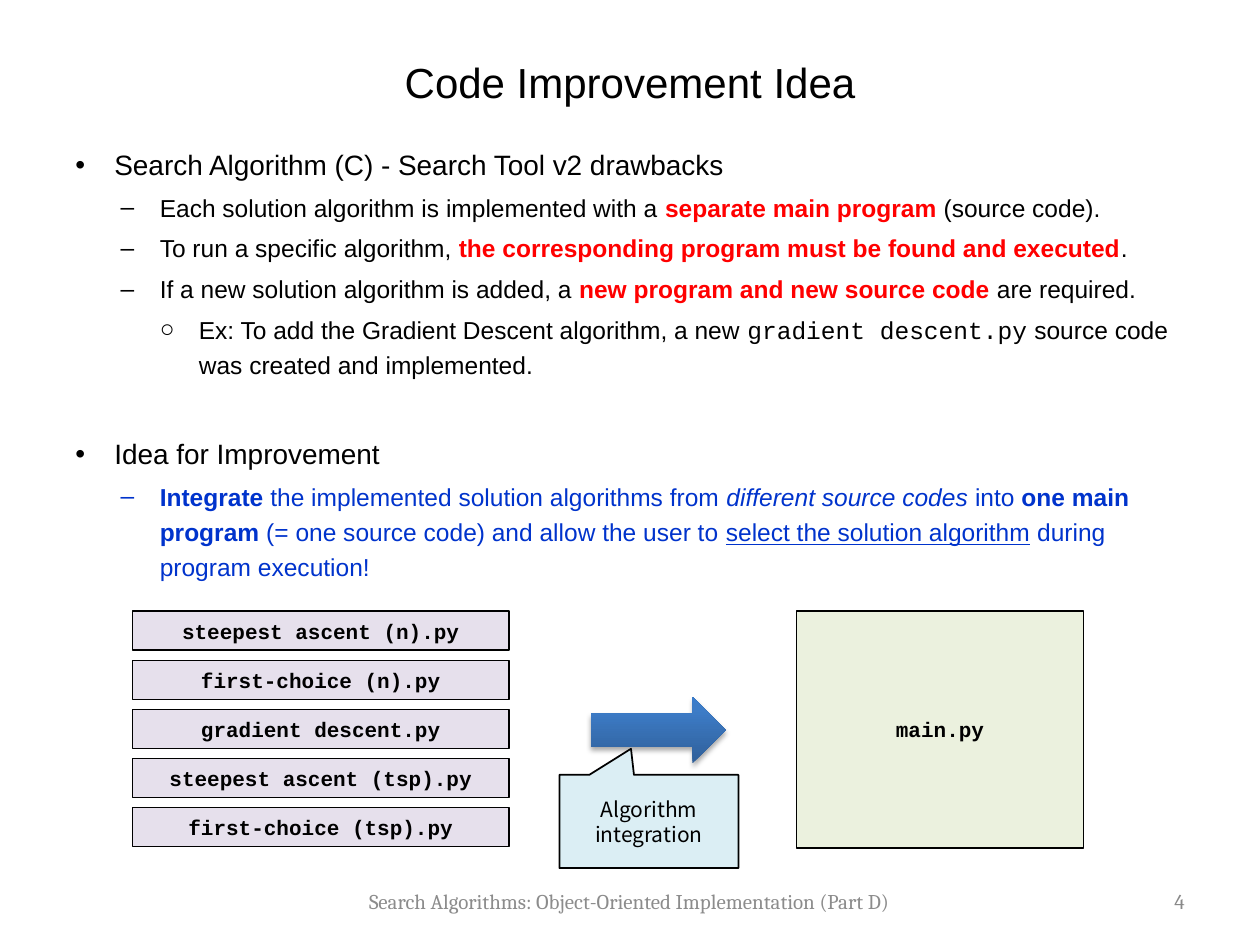
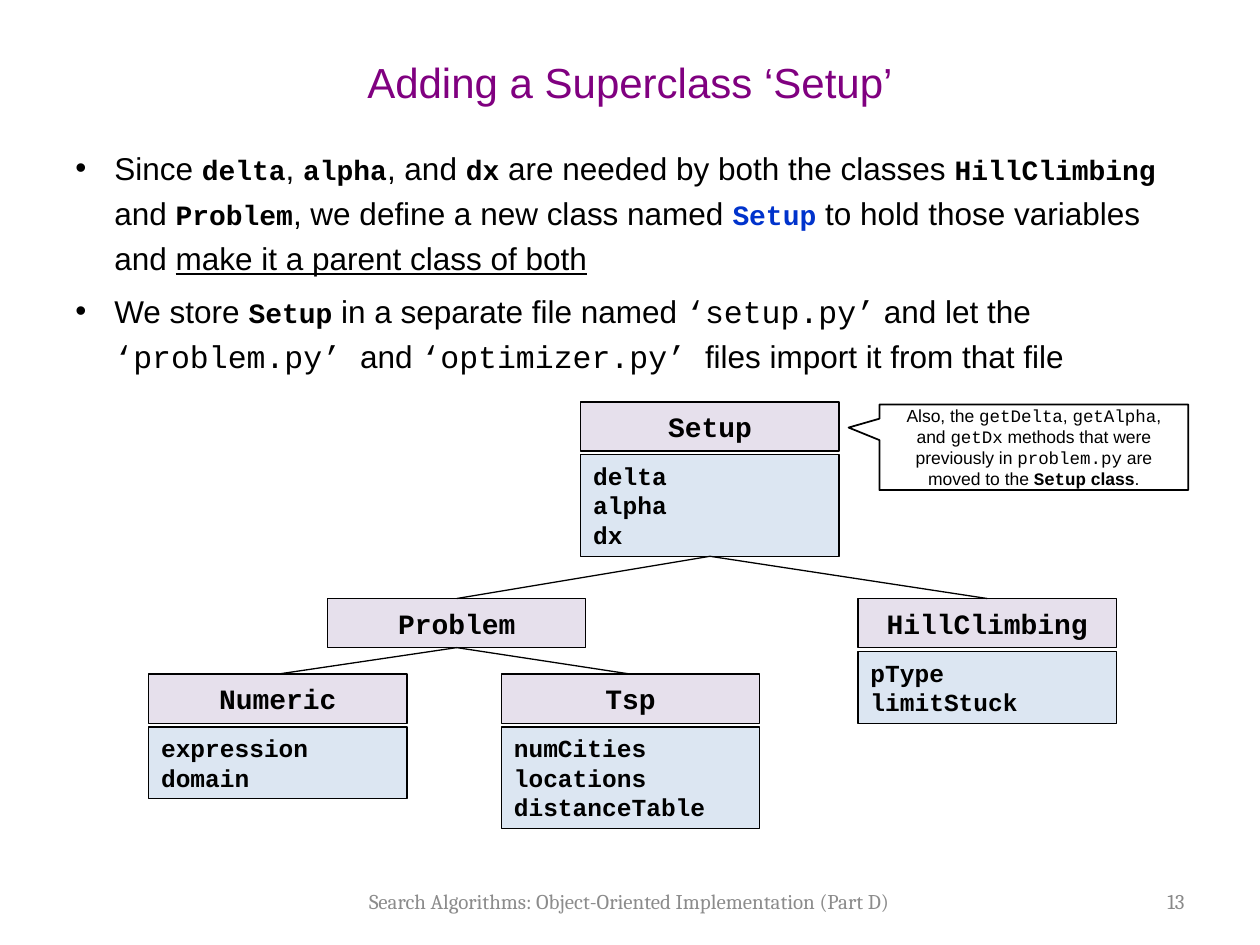
from dataclasses import dataclass

from lxml import etree
from pptx import Presentation
from pptx.dml.color import RGBColor
from pptx.enum.shapes import MSO_CONNECTOR, MSO_SHAPE
from pptx.enum.text import MSO_ANCHOR, PP_ALIGN
from pptx.oxml.ns import qn
from pptx.util import Inches, Pt

RECTANGLE = MSO_SHAPE.RECTANGLE
RIGHT_ARROW = MSO_SHAPE.RIGHT_ARROW
CALLOUT = MSO_SHAPE.RECTANGULAR_CALLOUT
STRAIGHT = MSO_CONNECTOR.STRAIGHT
LEFT, CENTER, RIGHT = PP_ALIGN.LEFT, PP_ALIGN.CENTER, PP_ALIGN.RIGHT
TOP, MIDDLE = MSO_ANCHOR.TOP, MSO_ANCHOR.MIDDLE
TOP_SITE, BOTTOM_SITE = 0, 2


@dataclass(frozen=True)
class Theme:
    black: str = "000000"
    white: str = "FFFFFF"
    red: str = "FF0000"
    blue: str = "0033CC"
    purple: str = "800080"
    footer_gray: str = "8C8C8C"
    number_gray: str = "898989"
    lavender: str = "E6E0EC"
    pale_blue: str = "DCE6F2"
    pale_green: str = "EBF1DE"
    pale_cyan: str = "DBEEF4"
    arrow_stops: tuple = ((0, "2F5F99"), (80, "3D7CC7"), (100, "3A7CCB"))
    sans: str = "Arial"
    code: str = "Courier New"
    serif: str = "Cambria"
    callout: str = "Noto Sans CJK KR"
    title_size: int = 24
    large_size: int = 18
    heading_size: int = 16
    detail_size: int = 14
    small_size: int = 12
    note_size: int = 10
    thin: float = 0.75
    outline: float = 1


THEME = Theme()
FOOTER = "Search Algorithms: Object-Oriented Implementation (Part D)"
BULLETS = (("•", 0.31), ("–", 0.67), ("○", 0.98))
HANGING = 0.31

BOLD = {"bold": True}
ITALIC = {"italic": True}
UNDERLINE = {"underline": True}
CODE = {"name": THEME.code}
RED = {"bold": True, "color": THEME.red}
KEYWORD = {"name": THEME.code, "size": THEME.heading_size, "bold": True}
BLUE_KEYWORD = {**KEYWORD, "color": THEME.blue}


def text_style(size, name=THEME.sans, color=THEME.black, **extra):
    return {"size": size, "name": name, "color": color, **extra}


def add_element(parent, tag, **attributes):
    values = {key: str(value) for key, value in attributes.items()}
    return etree.SubElement(parent, qn(tag), values)


def format_run(run, style):
    for attribute, value in style.items():
        if attribute == "color":
            run.font.color.rgb = RGBColor.from_string(value)
        else:
            setattr(run.font, attribute, Pt(value) if attribute == "size" else value)


def write_paragraph(paragraph, runs, style, alignment=LEFT):
    paragraph.alignment = alignment
    for item in runs:
        text, changes = (item, {}) if isinstance(item, str) else item
        run = paragraph.add_run()
        run.text = text
        format_run(run, {**style, **changes})


def next_paragraph(frame, index):
    return frame.add_paragraph() if index else frame.paragraphs[0]


def write_lines(frame, lines, style, alignment, anchor):
    frame.word_wrap = True
    frame.vertical_anchor = anchor
    for index, runs in enumerate(lines):
        write_paragraph(next_paragraph(frame, index), runs, style, alignment)


def add_text(slide, box, text, style, alignment):
    frame = slide.shapes.add_textbox(*map(Inches, box)).text_frame
    write_lines(frame, [[text]], style, alignment, MIDDLE)


def add_bullets(slide, items):
    frame = slide.shapes.add_textbox(*map(Inches, (0.5, 1.07, 9, 5.75))).text_frame
    frame.word_wrap = True
    for index, (level, style, extra_space, runs) in enumerate(items):
        paragraph = next_paragraph(frame, index)
        write_paragraph(paragraph, runs, style)
        paragraph.level = level
        paragraph.line_spacing = 1.2
        paragraph.space_before = Pt(round(style["size"] * 0.22 + extra_space, 1))
        character, indent = BULLETS[level]
        properties = paragraph._p.get_or_add_pPr()
        properties.set("marL", str(Inches(indent)))
        properties.set("indent", str(-Inches(HANGING)))
        add_element(properties, "a:buFont", typeface=THEME.sans)
        add_element(properties, "a:buChar", char=character)


def add_box(slide, box, fill, lines, style, alignment=CENTER, anchor=MIDDLE,
            kind=RECTANGLE, weight=THEME.thin):
    shape = slide.shapes.add_shape(kind, *map(Inches, box))
    shape.shadow.inherit = False
    shape.fill.solid()
    shape.fill.fore_color.rgb = RGBColor.from_string(fill)
    shape.line.color.rgb = RGBColor.from_string(THEME.black)
    shape.line.width = Pt(weight)
    write_lines(shape.text_frame, lines, style, alignment, anchor)
    return shape


def add_callout(slide, box, tip, fill, runs, style):
    shape = add_box(slide, box, fill, [runs], style, kind=CALLOUT, weight=THEME.outline)
    for index, offset in enumerate(tip):
        shape.adjustments[index] = offset


def add_gradient_arrow(slide, box):
    arrow = slide.shapes.add_shape(RIGHT_ARROW, *map(Inches, box))
    arrow.line.fill.background()
    arrow.fill.gradient()
    arrow.fill.gradient_angle = 90
    properties = arrow._element.spPr
    stops = properties.find(".//" + qn("a:gsLst"))
    for stop in list(stops):
        stops.remove(stop)
    for position, color in THEME.arrow_stops:
        stop = add_element(stops, "a:gs", pos=position * 1000)
        add_element(stop, "a:srgbClr", val=color)
    arrow.shadow.inherit = False
    shadow = add_element(properties.find(qn("a:effectLst")), "a:outerShdw",
                         blurRad=Pt(3.1), dist=Pt(1.8), dir=90 * 60000, rotWithShape=0)
    shadow_color = add_element(shadow, "a:srgbClr", val=THEME.black)
    add_element(shadow_color, "a:alpha", val=35000)


def add_class(slide, left, top, name, attributes=()):
    width, header_height, gap = 2.05, 0.39, 0.03
    header = add_box(slide, (left, top, width, header_height), THEME.lavender, [[name]],
                     text_style(THEME.heading_size, **CODE, **BOLD))
    if not attributes:
        return header, header
    height = 0.1 + 0.235 * len(attributes)
    body = add_box(slide, (left, top + header_height + gap, width, height),
                   THEME.pale_blue, [[attribute] for attribute in attributes],
                   text_style(THEME.detail_size, **CODE, **BOLD), LEFT, TOP)
    return header, body


def connect(slide, parent, child):
    connector = slide.shapes.add_connector(STRAIGHT, 0, 0, 0, 0)
    connector.begin_connect(parent, BOTTOM_SITE)
    connector.end_connect(child, TOP_SITE)
    connector.line.color.rgb = RGBColor.from_string(THEME.black)
    connector.line.width = Pt(THEME.thin)
    add_element(connector._element.spPr, "a:effectLst")


def add_slide(presentation, title, number, title_color=THEME.black):
    slide = presentation.slides.add_slide(presentation.slide_layouts[6])
    add_text(slide, (0.5, 0.3, 9, 0.69), title,
             text_style(THEME.title_size, color=title_color), CENTER)
    add_text(slide, (2.24, 6.95, 5.51, 0.4), FOOTER,
             text_style(THEME.small_size, THEME.serif, THEME.footer_gray), CENTER)
    add_text(slide, (8.31, 6.95, 1.19, 0.4), number,
             text_style(THEME.small_size, THEME.serif, THEME.number_gray), RIGHT)
    return slide


def build_improvement_slide(presentation):
    slide = add_slide(presentation, "Code Improvement Idea", "4")
    heading = text_style(THEME.heading_size)
    detail = text_style(THEME.detail_size)
    proposal = text_style(THEME.detail_size, color=THEME.blue)
    add_bullets(slide, [
        (0, heading, 0, ["Search Algorithm (C) - Search Tool v2 drawbacks"]),
        (1, detail, 0, ["Each solution algorithm is implemented with a ",
                        ("separate main program", RED), " (source code)."]),
        (1, detail, 0, ["To run a specific algorithm, ",
                        ("the corresponding program must be found and executed", RED), "."]),
        (1, detail, 0, ["If a new solution algorithm is added, a ",
                        ("new program and new source code", RED), " are required."]),
        (2, detail, 0, ["Ex: To add the Gradient Descent algorithm, a new ",
                        ("gradient descent.py", CODE),
                        " source code was created and implemented."]),
        (0, heading, 25.6, ["Idea for Improvement"]),
        (1, proposal, 0, [("Integrate", BOLD), " the implemented solution algorithms from ",
                          ("different source codes", ITALIC), " into ",
                          ("one main program", BOLD),
                          " (= one source code) and allow the user to ",
                          ("select the solution algorithm", UNDERLINE),
                          " during program execution!"]),
    ])
    file_style = text_style(THEME.small_size, **CODE, **BOLD)
    scripts = ("steepest ascent (n).py", "first-choice (n).py", "gradient descent.py",
               "steepest ascent (tsp).py", "first-choice (tsp).py")
    for row, script in enumerate(scripts):
        add_box(slide, (1.05, 4.85 + 0.39 * row, 2.99, 0.31), THEME.lavender,
                [[script]], file_style)
    add_box(slide, (6.32, 4.85, 2.28, 1.88), THEME.pale_green, [["main.py"]], file_style)
    add_gradient_arrow(slide, (4.69, 5.53, 1.07, 0.53))
    add_callout(slide, (4.44, 6.15, 1.42, 0.74), (-0.1, -0.78), THEME.pale_cyan,
                ["Algorithm integration"], text_style(THEME.small_size, THEME.callout))


def build_superclass_slide(presentation):
    slide = add_slide(presentation, "Adding a Superclass ‘Setup’", "13", THEME.purple)
    large = text_style(THEME.large_size)
    add_bullets(slide, [
        (0, large, 0, ["Since ", ("delta", KEYWORD), ", ", ("alpha", KEYWORD), ", and ",
                       ("dx", KEYWORD), " are needed by both the classes ",
                       ("HillClimbing", KEYWORD), " and ", ("Problem", KEYWORD),
                       ", we define a new class named ", ("Setup", BLUE_KEYWORD),
                       " to hold those variables and ",
                       ("make it a parent class of both", UNDERLINE)]),
        (0, large, 0, ["We store ", ("Setup", KEYWORD), " in a separate file named ",
                       ("‘setup.py’", CODE), " and let the ", ("‘problem.py’ ", CODE),
                       "and ", ("‘optimizer.py’ ", CODE),
                       "files import it from that file"]),
    ])
    _, setup_body = add_class(slide, 4.61, 3.19, "Setup", ("delta", "alpha", "dx"))
    problem, _ = add_class(slide, 2.6, 4.75, "Problem")
    climbing, _ = add_class(slide, 6.81, 4.75, "HillClimbing", ("pType", "limitStuck"))
    numeric, _ = add_class(slide, 1.18, 5.35, "Numeric", ("expression", "domain"))
    tsp, _ = add_class(slide, 3.98, 5.35, "Tsp",
                       ("numCities", "locations", "distanceTable"))
    for parent, child in ((setup_body, problem), (setup_body, climbing),
                          (problem, numeric), (problem, tsp)):
        connect(slide, parent, child)
    add_callout(slide, (6.98, 3.21, 2.45, 0.68), (-0.6, -0.23), THEME.white,
                ["Also, the ", ("getDelta", CODE), ", ", ("getAlpha", CODE), ", and ",
                 ("getDx", CODE), " methods that were previously in ",
                 ("problem.py", CODE), " are moved to the ",
                 ("Setup", {**CODE, **BOLD}), (" class", BOLD), "."],
                text_style(THEME.note_size))


def main():
    presentation = Presentation()
    presentation.slide_width = Inches(10)
    presentation.slide_height = Inches(7.5)
    build_improvement_slide(presentation)
    build_superclass_slide(presentation)
    presentation.save("out.pptx")


if __name__ == "__main__":
    main()
